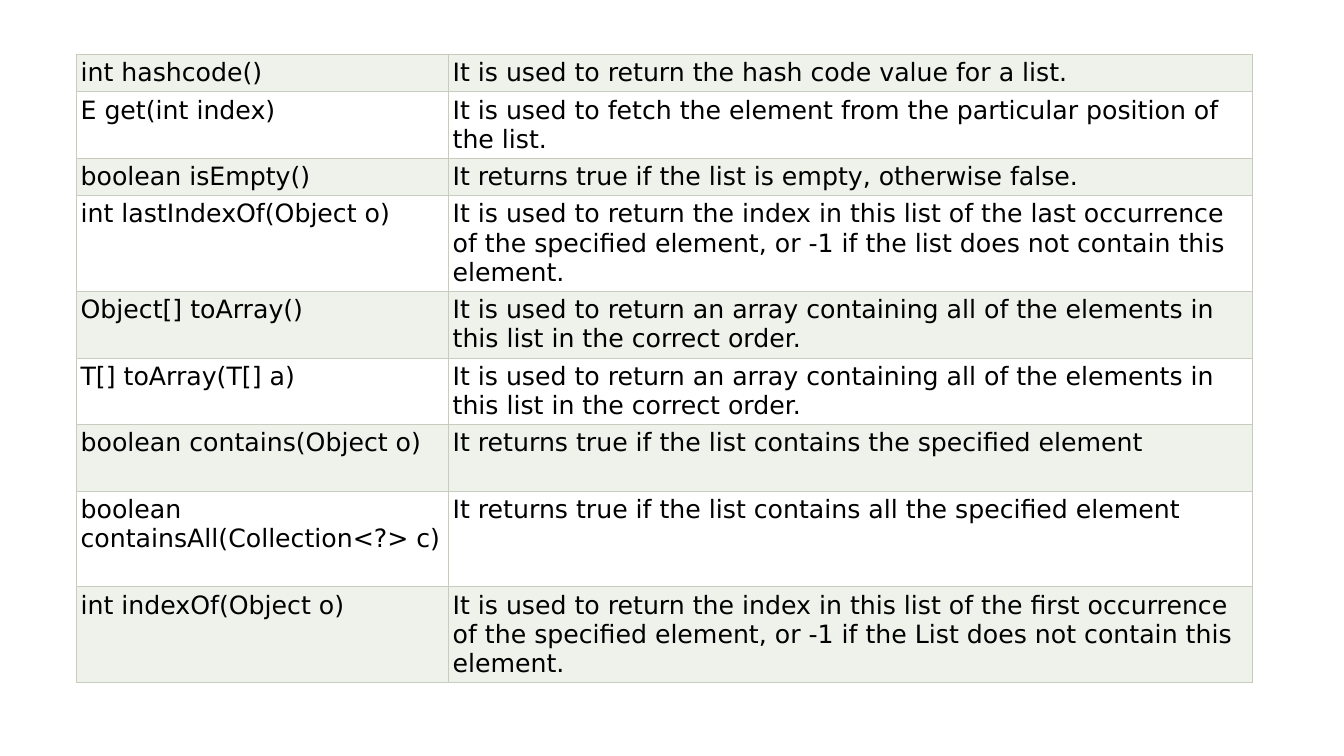
import pptx
import pptx.util
import pptx.dml.color
import pptx.oxml
import pptx.oxml.ns
from pptx.util import Inches

# Content: method, description, number of text lines the row holds
METHODS = [
    ("int hashcode()", "It is used to return the hash code value for a list.", 1),
    ("E get(int index)",
     "It is used to fetch the element from the particular position of the list.", 2),
    ("boolean isEmpty()", "It returns true if the list is empty, otherwise false.", 1),
    ("int lastIndexOf(Object o)",
     "It is used to return the index in this list of the last occurrence of the "
     "specified element, or -1 if the list does not contain this element.", 3),
    ("Object[] toArray()",
     "It is used to return an array containing all of the elements in this list "
     "in the correct order.", 2),
    ("T[] toArray(T[] a)",
     "It is used to return an array containing all of the elements in this list "
     "in the correct order.", 2),
    ("boolean contains(Object o)",
     "It returns true if the list contains the specified element", 2),
    ("boolean containsAll(Collection<?> c)",
     "It returns true if the list contains all the specified element", 3),
    ("int indexOf(Object o)",
     "It is used to return the index in this list of the first occurrence of the "
     "specified element, or -1 if the List does not contain this element.", 3),
]

THEME = {
    "font": {"name": "DejaVu Sans", "size": pptx.util.Pt(18), "bold": False},
    "text": "000000",
    "bands": ("EFF1EB", "FFFFFF"),
    "border": "C7CCBE",
    "border_width": pptx.util.Pt(0.75),
}

# Layout
LEFT, TOP = 0.76, 0.54
COLUMN_WIDTHS = (3.69, 7.97)
INSET, LINE_HEIGHT = 0.04, 0.29
row_heights = [2 * INSET + LINE_HEIGHT * lines for *_, lines in METHODS]
margins = {f"margin_{side}": Inches(INSET) for side in ("left", "right", "top", "bottom")}


def color(value):
    return pptx.dml.color.RGBColor.from_string(value)


def set_format(target, values):
    for name, value in values.items():
        setattr(target, name, value)


def add_borders(cell):
    properties = cell._tc.get_or_add_tcPr()
    for side in ("lnL", "lnR", "lnT", "lnB"):
        properties.append(pptx.oxml.parse_xml(
            f'<a:{side} {pptx.oxml.ns.nsdecls("a")} w="{THEME["border_width"]}">'
            f'<a:solidFill><a:srgbClr val="{THEME["border"]}"/></a:solidFill></a:{side}>'))


def fill_cell(cell, text, band):
    set_format(cell, margins)
    add_borders(cell)
    cell.fill.solid()
    cell.fill.fore_color.rgb = color(band)
    span = cell.text_frame.paragraphs[0].add_run()
    span.text = text
    set_format(span.font, THEME["font"])
    span.font.color.rgb = color(THEME["text"])


# Slide
deck = pptx.Presentation()
deck.slide_width, deck.slide_height = Inches(13.33), Inches(7.5)
page = deck.slides.add_slide(deck.slide_layouts[6])

# Method table
table = page.shapes.add_table(
    len(METHODS), len(COLUMN_WIDTHS), Inches(LEFT), Inches(TOP),
    Inches(sum(COLUMN_WIDTHS)), Inches(sum(row_heights))).table
set_format(table, {"first_row": False, "horz_banding": False})
for column, width in zip(table.columns, COLUMN_WIDTHS):
    column.width = Inches(width)
for index, (row, height) in enumerate(zip(table.rows, row_heights)):
    row.height = Inches(height)
    for cell, text in zip(row.cells, METHODS[index][:2]):
        fill_cell(cell, text, THEME["bands"][index % 2])

deck.save("out.pptx")
